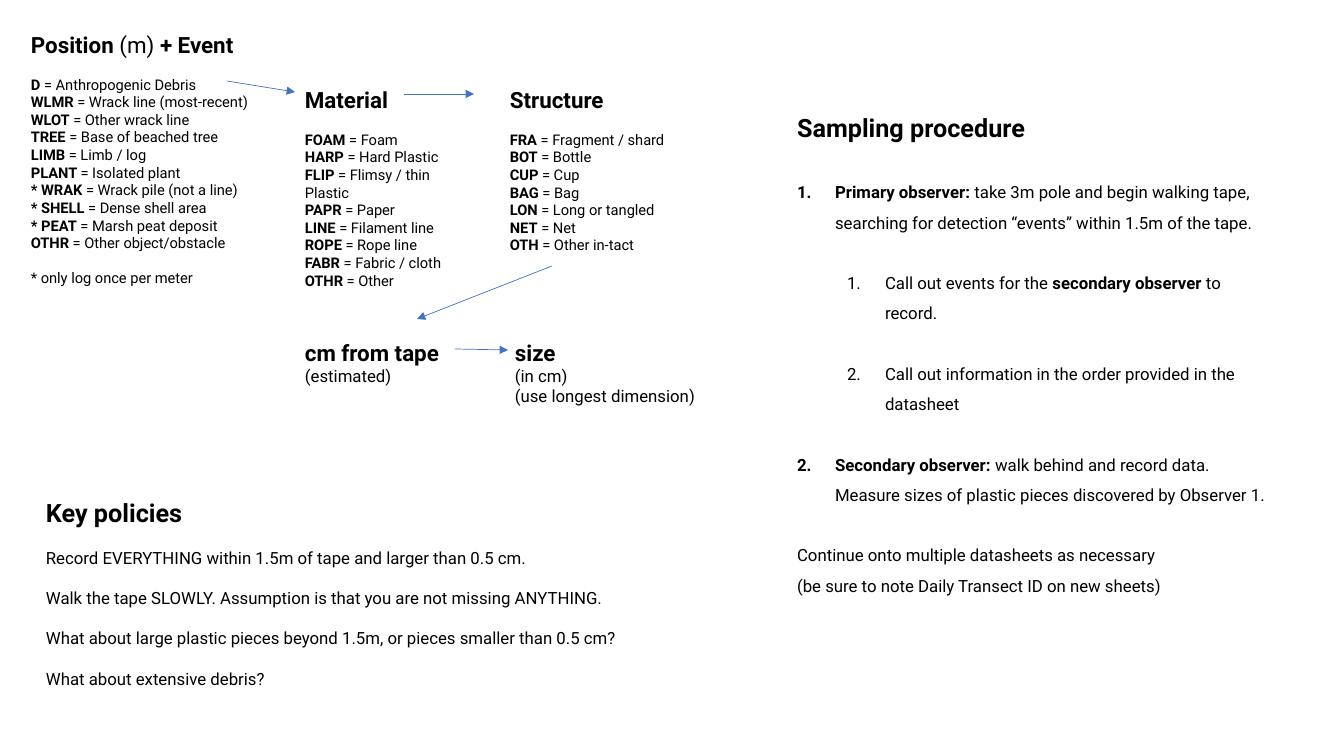
from lxml import etree
from pptx import Presentation
from pptx.dml.color import RGBColor
from pptx.enum.shapes import MSO_CONNECTOR
from pptx.enum.text import MSO_ANCHOR, MSO_AUTO_SIZE, PP_ALIGN
from pptx.oxml.ns import qn
from pptx.util import Pt

LINE = MSO_CONNECTOR.STRAIGHT
TOP = MSO_ANCHOR.TOP
FIXED = MSO_AUTO_SIZE.NONE
LEFT = PP_ALIGN.LEFT
BLACK = RGBColor(0, 0, 0)
BLUE = RGBColor(0x44, 0x72, 0xC4)
FONT = "Roboto"
SCALE = 914400 / 100.8
LEAD = 1.2
MARGIN = (0, 38, 88)
HANG = 38

TITLE = ["**Sampling procedure**"]
STEPS = [
    "**Primary observer: **take 3m pole and begin walking tape, searching for detection “events” within 1.5m of the tape.",
    "Call out events for the **secondary observer **to record.",
    "Call out information in the order provided in the datasheet",
    "**Secondary observer: **walk behind and record data. Measure sizes of plastic pieces discovered by Observer 1.",
    "Continue onto multiple datasheets as necessary",
    "(be sure to note Daily Transect ID on new sheets)",
]
LEVELS = (1, 2, 2, 1, 0, 0)
POLICY = [
    "**Key policies**",
    "Record EVERYTHING within 1.5m of tape and larger than 0.5 cm.",
    "Walk the tape SLOWLY. Assumption is that you are not missing ANYTHING.",
    "What about large plastic pieces beyond 1.5m, or pieces smaller than 0.5 cm?",
    "What about extensive debris?",
]
MATTER = [
    "**Material**",
    "**FOAM** = Foam",
    "**HARP** = Hard Plastic",
    "**FLIP** = Flimsy / thin Plastic",
    "**PAPR **= Paper",
    "**LINE** = Filament line",
    "**ROPE** = Rope line",
    "**FABR** = Fabric / cloth",
    "**OTHR** = Other",
]
FORM = [
    "**Structure**",
    "**FRA** = Fragment / shard",
    "**BOT** = Bottle",
    "**CUP** = Cup",
    "**BAG** = Bag",
    "**LON** = Long or tangled",
    "**NET** = Net",
    "**OTH** = Other in-tact",
]
EVENT = [
    "**Position **(m) **+ Event**",
    "**D **= Anthropogenic Debris",
    "**WLMR** = Wrack line (most-recent)",
    "**WLOT** = Other wrack line",
    "**TREE** = Base of beached tree",
    "**LIMB** = Limb / log",
    "**PLANT **= Isolated plant",
    "*** WRAK** = Wrack pile (not a line)",
    "*** SHELL** = Dense shell area",
    "*** PEAT** = Marsh peat deposit",
    "**OTHR** = Other object/obstacle",
    "* only log once per meter",
]
TAPE = ["**cm from tape**", "(estimated)"]
SIZE = ["**size**", "(in cm)", "(use longest dimension)"]

BOXES = [
    (POLICY, (36, 492, 610, 265), dict(head=18, size=12, gaps=range(1, 5))),
    (MATTER, (295, 81, 178, 216), dict(head=16, size=10.5, gaps=(1,))),
    (FORM, (500, 81, 243, 198), dict(head=16, size=10.5, gaps=(1,))),
    (EVENT, (21, 26, 261, 269), dict(head=16, size=10.5, gaps=(1, 11))),
    (TAPE, (295, 334, 178, 57), dict(head=16, size=12)),
    (SIZE, (505, 334, 282, 78), dict(head=16, size=12)),
]
ARROWS = [
    (227, 81, 295, 92),
    (404, 94, 474, 94),
    (552, 266, 417, 319),
    (455, 349, 508, 350),
]


def px(*nums):
    return [round(n * SCALE) for n in nums]


def write(shape, lines, size, head=None, gaps=(), space=1, levels=()):
    frame = shape.text_frame
    frame.word_wrap = True
    frame.auto_size = FIXED
    frame.vertical_anchor = TOP
    for i, line in enumerate(lines):
        para = frame.paragraphs[0] if i == 0 else frame.add_paragraph()
        para.alignment = LEFT
        para.line_spacing = space
        para.space_before = Pt(size * LEAD * space if i in gaps else 0)
        if levels:
            number(para, levels[i])
        for j, part in enumerate(line.split("**")):
            if part:
                run = para.add_run()
                run.text = part
                font = run.font
                font.name = FONT
                font.size = Pt(head if head and i == 0 else size)
                font.bold = j % 2 == 1
                font.color.rgb = BLACK


def number(para, level):
    para.level = max(level - 1, 0)
    props = para._p.get_or_add_pPr()
    left, hang = px(MARGIN[level], HANG if level else 0)
    props.set("marL", str(left))
    props.set("indent", str(-hang))
    if level:
        mark = etree.SubElement(props, qn("a:buAutoNum"))
        mark.set("type", "arabicPeriod")
    else:
        etree.SubElement(props, qn("a:buNone"))


def place(shape, spot):
    shape.left, shape.top, shape.width, shape.height = px(*spot)


def arrow(slide, ends):
    link = slide.shapes.add_connector(LINE, *px(*ends))
    link.line.color.rgb = BLUE
    link.line.width = Pt(0.5)
    tail = etree.SubElement(link.line._get_or_add_ln(), qn("a:tailEnd"))
    tail.set("type", "triangle")
    etree.SubElement(link._element.spPr, qn("a:effectLst"))


def main():
    deck = Presentation()
    deck.slide_width, deck.slide_height = px(1344, 756)
    slide = deck.slides.add_slide(deck.slide_layouts[1])
    title, body = slide.placeholders
    place(title, (787, 92, 496, 60))
    write(title, TITLE, size=18, space=1.5)
    place(body, (787, 167, 496, 466))
    write(body, STEPS, size=12, gaps=range(1, 5), space=1.5, levels=LEVELS)
    for lines, spot, style in BOXES:
        write(slide.shapes.add_textbox(*px(*spot)), lines, **style)
    for ends in ARROWS:
        arrow(slide, ends)
    deck.save("out.pptx")


if __name__ == "__main__":
    main()
